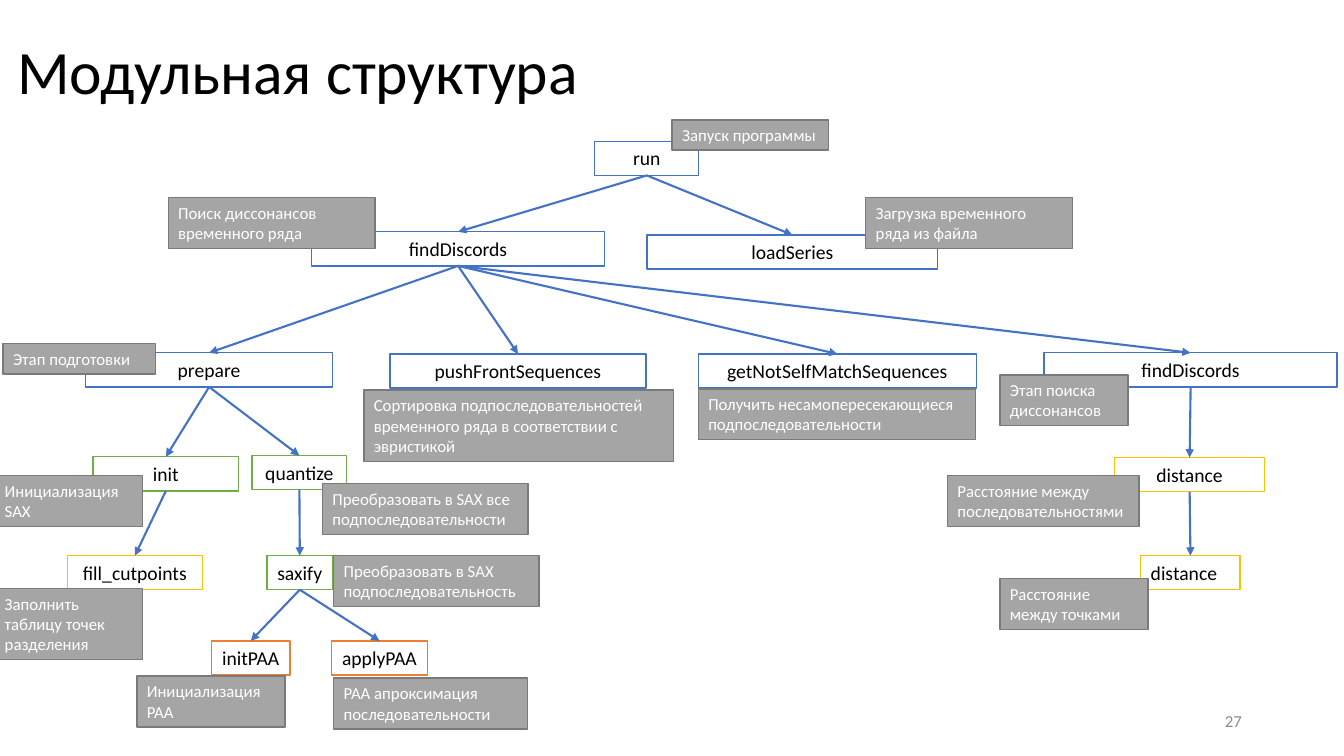
from lxml import etree
from pptx import Presentation, util as u
from pptx.dml.color import RGBColor
from pptx.enum import shapes, text
from pptx.oxml import ns

BLACK = RGBColor(0x00, 0x00, 0x00)
WHITE = RGBColor(0xFF, 0xFF, 0xFF)
BLUE = RGBColor(0x44, 0x72, 0xC4)
GREEN = RGBColor(0x70, 0xAD, 0x47)
YELLOW = RGBColor(0xFF, 0xC0, 0x00)
ORANGE = RGBColor(0xED, 0x7D, 0x31)
GRAY = RGBColor(0xA5, 0xA5, 0xA5)
DARK_GRAY = RGBColor(0x7A, 0x7A, 0x7A)
NUMBER_GRAY = RGBColor(0x8C, 0x8C, 0x8C)
LEFT, CENTER, RIGHT = text.PP_ALIGN.LEFT, text.PP_ALIGN.CENTER, text.PP_ALIGN.RIGHT

# key: (label, left, top, width, outline), lengths in cm
MODULES = {
    "find": ("findDiscords", 7.85, 5.84, 7.39, BLUE),
    "run": ("run", 14.99, 3.56, 2.62, BLUE),
    "load": ("loadSeries", 16.31, 5.92, 7.32, BLUE),
    "prepare": ("prepare", 2.16, 8.89, 6.22, BLUE),
    "push": ("pushFrontSequences", 9.83, 8.92, 6.45, BLUE),
    "match": ("getNotSelfMatchSequences", 17.6, 8.92, 7.01, BLUE),
    "search": ("findDiscords", 26.31, 8.89, 7.39, BLUE),
    "series distance": ("distance", 28.09, 11.53, 3.78, YELLOW),
    "point distance": ("distance", 28.75, 14, 2.5, YELLOW),
    "init": ("init", 2.34, 11.51, 3.68, GREEN),
    "saxify": ("saxify", 6.73, 14, 1.65, GREEN),
    "quantize": ("quantize", 6.35, 11.48, 2.39, GREEN),
    "cutpoints": ("fill_cutpoints", 1.7, 14, 3.4, YELLOW),
    "init PAA": ("initPAA", 5.33, 16.15, 1.98, ORANGE),
    "apply PAA": ("applyPAA", 8.36, 16.15, 2.41, ORANGE),
}
UNWRAPPED = {"saxify", "init PAA", "apply PAA"}
CALLS = {
    "run": ["find", "load"],
    "find": ["prepare", "push", "match", "search"],
    "search": ["series distance"],
    "series distance": ["point distance"],
    "prepare": ["init", "quantize"],
    "init": ["cutpoints"],
    "quantize": ["saxify"],
    "saxify": ["init PAA", "apply PAA"],
}
# (label, left, top, width, number of text lines)
NOTES = [
    ("Запуск программы", 16.94, 3.02, 3.94, 1),
    ("Загрузка временного ряда из файла", 21.82, 4.98, 5.21, 2),
    ("Поиск диссонансов временного ряда", 4.24, 4.98, 5.21, 2),
    ("Этап подготовки", 0.08, 8.66, 3.84, 1),
    ("Сортировка подпоследовательностей временного ряда в соответствии с эвристикой",
     9.17, 9.83, 7.8, 3),
    ("Получить несамопересекающиеся подпоследовательности", 17.6, 9.8, 6.99, 2),
    ("Этап поиска диссонансов", 25.2, 9.45, 3.23, 2),
    ("Расстояние между точками", 25.2, 14.58, 3.73, 2),
    ("Расстояние между последовательностями", 23.88, 11.99, 4.83, 2),
    ("Инициализация SAX", -0.13, 11.99, 3.73, 2),
    ("Заполнить таблицу точек разделения", -0.13, 14.83, 3.73, 3),
    ("Преобразовать в SAX все подпоследовательности", 8.13, 12.19, 5.18, 2),
    ("Преобразовать в SAX подпоследовательность", 8.41, 14, 5.18, 2),
    ("Инициализация PAA", 3.45, 17.04, 3.73, 2),
    ("PAA апроксимация последовательности", 8.41, 17.09, 4.88, 2),
]


class ModuleDiagram:
    font = "Calibri"
    module_height = 0.86

    def __init__(self, slide):
        self.slide = slide

    def set_text(self, shape, label, size, color, align, anchor, wrap=True):
        frame = shape.text_frame
        frame.text = label
        frame.word_wrap = wrap
        frame.vertical_anchor = anchor
        paragraph = frame.paragraphs[0]
        paragraph.alignment = align
        font = paragraph.runs[0].font
        font.name, font.size = self.font, u.Pt(size)
        font.color.rgb = color
        return paragraph

    def label(self, label, left, top, width, height, size, color, align=LEFT):
        shape = self.slide.shapes.add_textbox(u.Cm(left), u.Cm(top), u.Cm(width), u.Cm(height))
        return self.set_text(shape, label, size, color, align, text.MSO_ANCHOR.MIDDLE)

    def box(self, label, left, top, width, height, fill, outline, size, color, align, wrap=True):
        shape = self.slide.shapes.add_shape(
            shapes.MSO_SHAPE.RECTANGLE, u.Cm(left), u.Cm(top), u.Cm(width), u.Cm(height))
        shape.shadow.inherit = False
        shape.fill.solid()
        shape.fill.fore_color.rgb = fill
        shape.line.color.rgb = outline
        shape.line.width = u.Pt(1)
        self.set_text(shape, label, size, color, align, text.MSO_ANCHOR.TOP, wrap)
        shape.text_frame.auto_size = text.MSO_AUTO_SIZE.SHAPE_TO_FIT_TEXT
        return shape

    def module(self, label, left, top, width, outline, align, wrap):
        return self.box(label, left, top, width, self.module_height,
                        WHITE, outline, 14, BLACK, align, wrap)

    def note(self, label, left, top, width, lines):
        height = 0.25 + 0.515 * lines
        self.box(label, left, top, width, height, GRAY, DARK_GRAY, 12, WHITE, LEFT)

    def arrow(self, caller, callee):
        """Lead from the bottom of caller to the top of callee."""
        connector = self.slide.shapes.add_connector(shapes.MSO_CONNECTOR.STRAIGHT, 0, 0, 0, 0)
        connector.begin_connect(caller, 2)
        connector.end_connect(callee, 0)
        connector.line.color.rgb = BLUE
        connector.line.width = u.Pt(1.5)
        properties = connector._element.spPr
        outline = properties.find(ns.qn("a:ln"))
        etree.SubElement(outline, ns.qn("a:tailEnd"), type="triangle")
        etree.SubElement(properties, ns.qn("a:effectLst"))


def main():
    presentation = Presentation()
    presentation.slide_width, presentation.slide_height = u.Cm(33.87), u.Cm(19.05)
    diagram = ModuleDiagram(presentation.slides.add_slide(presentation.slide_layouts[6]))

    title = diagram.label("Модульная структура", 0.18, 0.03, 29.21, 3.68, 44, BLACK)
    title.line_spacing = 0.9
    diagram.label("27", 23.93, 17.65, 7.62, 1.02, 12, NUMBER_GRAY, RIGHT)

    modules = {}
    for key, details in MODULES.items():
        align = LEFT if key == "point distance" else CENTER
        modules[key] = diagram.module(*details, align, key not in UNWRAPPED)
    for caller, callees in CALLS.items():
        for callee in callees:
            diagram.arrow(modules[caller], modules[callee])
    for note in NOTES:
        diagram.note(*note)

    presentation.save("out.pptx")


if __name__ == "__main__":
    main()
